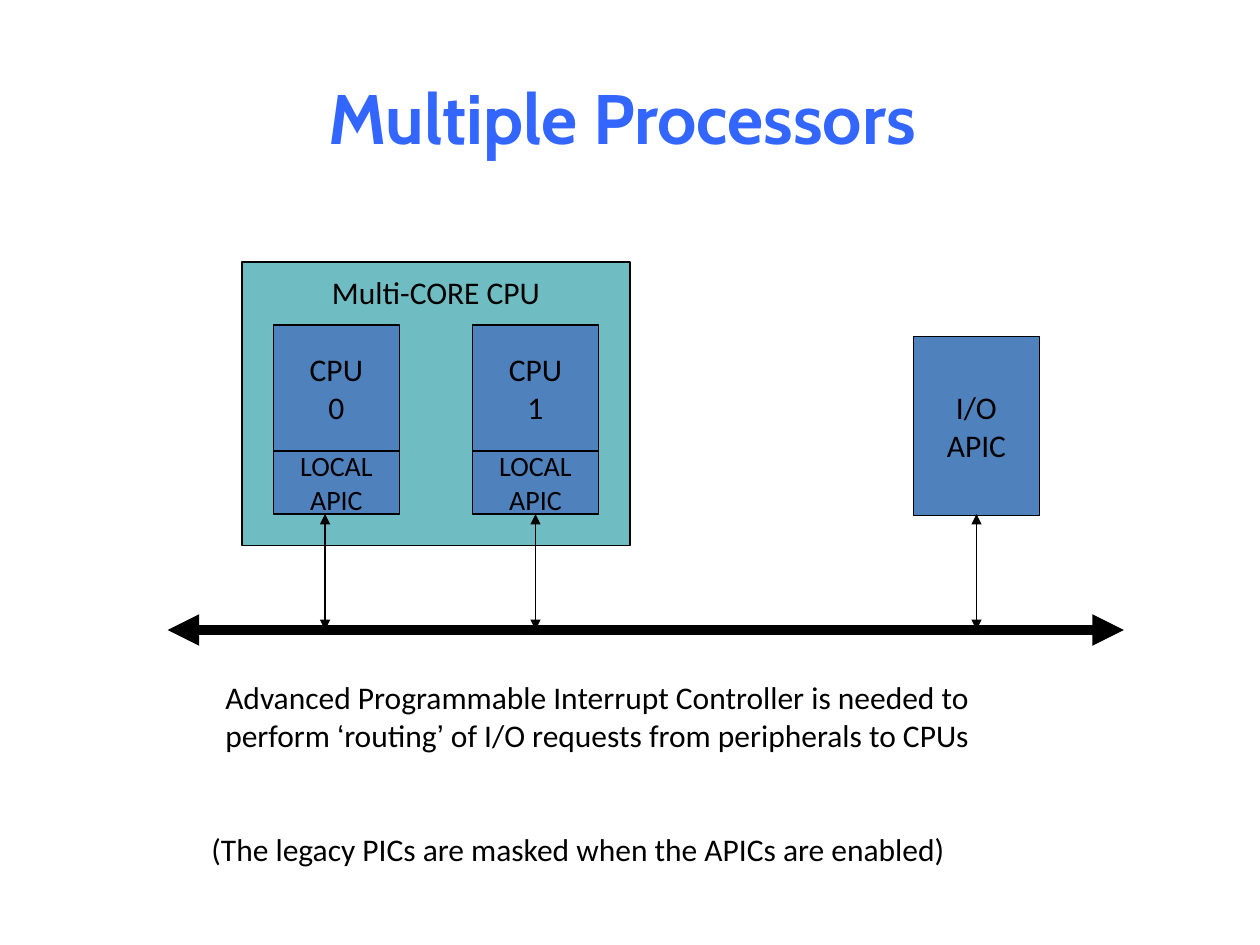
"""Build the Multiple Processors slide: APIC routing between CPU cores and I/O."""
from lxml.etree import SubElement
from pptx import Presentation
from pptx.dml.color import RGBColor
from pptx.enum.shapes import MSO_CONNECTOR, MSO_SHAPE
from pptx.enum.text import MSO_ANCHOR as Anchor, PP_ALIGN as Align
from pptx.oxml.ns import qn
from pptx.util import Inches, Pt

COLORS = {"title": "3366FF", "package": "6FBDC3", "unit": "4F81BD", "ink": "000000"}


def add_span(para, text, size, font="Calibri", color="ink"):
    span = para.add_run()
    span.text = text
    span.font.size = Pt(size)
    span.font.name = font
    span.font.color.rgb = RGBColor.from_string(COLORS[color])
    return span


def style_line(line, width):
    line.color.rgb = RGBColor.from_string(COLORS["ink"])
    line.width = Pt(width)


deck = Presentation()
deck.slide_width, deck.slide_height = Inches(10), Inches(7.5)
page = deck.slides.add_slide(deck.slide_layouts[5])

title = page.shapes.title
title.left, title.top = Inches(0.5), Inches(0.3)
title.width, title.height = Inches(9), Inches(1.25)
title.text_frame.vertical_anchor = Anchor.MIDDLE
title_para = title.text_frame.paragraphs[0]
title_para.alignment = Align.CENTER
add_span(title_para, "Multiple Processors ", 40, "Cabin", "title").font.bold = True

blocks = [(1.92, 2.08, 3.08, 2.25, "package", 18, ["Multi-CORE CPU"])]
for core, left in enumerate((2.17, 3.75)):
    blocks.append((left, 2.58, 1, 1, "unit", 18, ["CPU", str(core)]))
    blocks.append((left, 3.58, 1, 0.5, "unit", 16, ["LOCAL", "APIC"]))
blocks.append((7.25, 2.67, 1, 1.42, "unit", 18, ["I/O", "APIC"]))

for left, top, width, height, fill, size, lines in blocks:
    box = page.shapes.add_shape(
        MSO_SHAPE.RECTANGLE, Inches(left), Inches(top), Inches(width), Inches(height))
    box.shadow.inherit = False
    box.fill.solid()
    box.fill.fore_color.rgb = RGBColor.from_string(COLORS[fill])
    style_line(box.line, 0.75)
    frame = box.text_frame
    frame.word_wrap = False
    frame.vertical_anchor = Anchor.TOP if fill == "package" else Anchor.MIDDLE
    if fill == "package":
        frame.margin_top = Inches(0.09)
    for index, text in enumerate(lines):
        para = frame.add_paragraph() if index else frame.paragraphs[0]
        para.alignment = Align.CENTER
        add_span(para, text, size)

bus_y = 5
arrows = [(1.33, bus_y, 8.92, bus_y, 6)]
arrows += [(x, 4.08, x, bus_y, 0.75) for x in (2.58, 4.25, 7.75)]
for x1, y1, x2, y2, width in arrows:
    arrow = page.shapes.add_connector(
        MSO_CONNECTOR.STRAIGHT, Inches(x1), Inches(y1), Inches(x2), Inches(y2))
    style_line(arrow.line, width)
    for end in ("a:headEnd", "a:tailEnd"):
        SubElement(arrow.line._get_or_add_ln(), qn(end), type="triangle")
    SubElement(arrow._element.spPr, qn("a:effectLst"))

note = page.shapes.add_textbox(Inches(1.58), Inches(5.33), Inches(6.83), Inches(1.6))
note.text_frame.word_wrap = False
note_lines = [
    (0.11, 0, [("Advanced Programmable Interrupt Controller is needed to", "Calibri")]),
    (0.11, 0, [("perform ", "Calibri"), ("‘", "Arial"), ("routing", "Calibri"), ("’", "Arial"),
               (" of I/O requests from peripherals to CPUs", "Calibri")]),
    (0, 44, [("(The legacy PICs are masked when the APICs are enabled)", "Calibri")]),
]
for index, (indent, gap, spans) in enumerate(note_lines):
    para = note.text_frame.add_paragraph() if index else note.text_frame.paragraphs[0]
    para.alignment = Align.LEFT
    para.space_before = Pt(gap)
    para._p.get_or_add_pPr().set("marL", str(Inches(indent)))
    for text, font in spans:
        add_span(para, text, 18, font)

deck.save("out.pptx")
